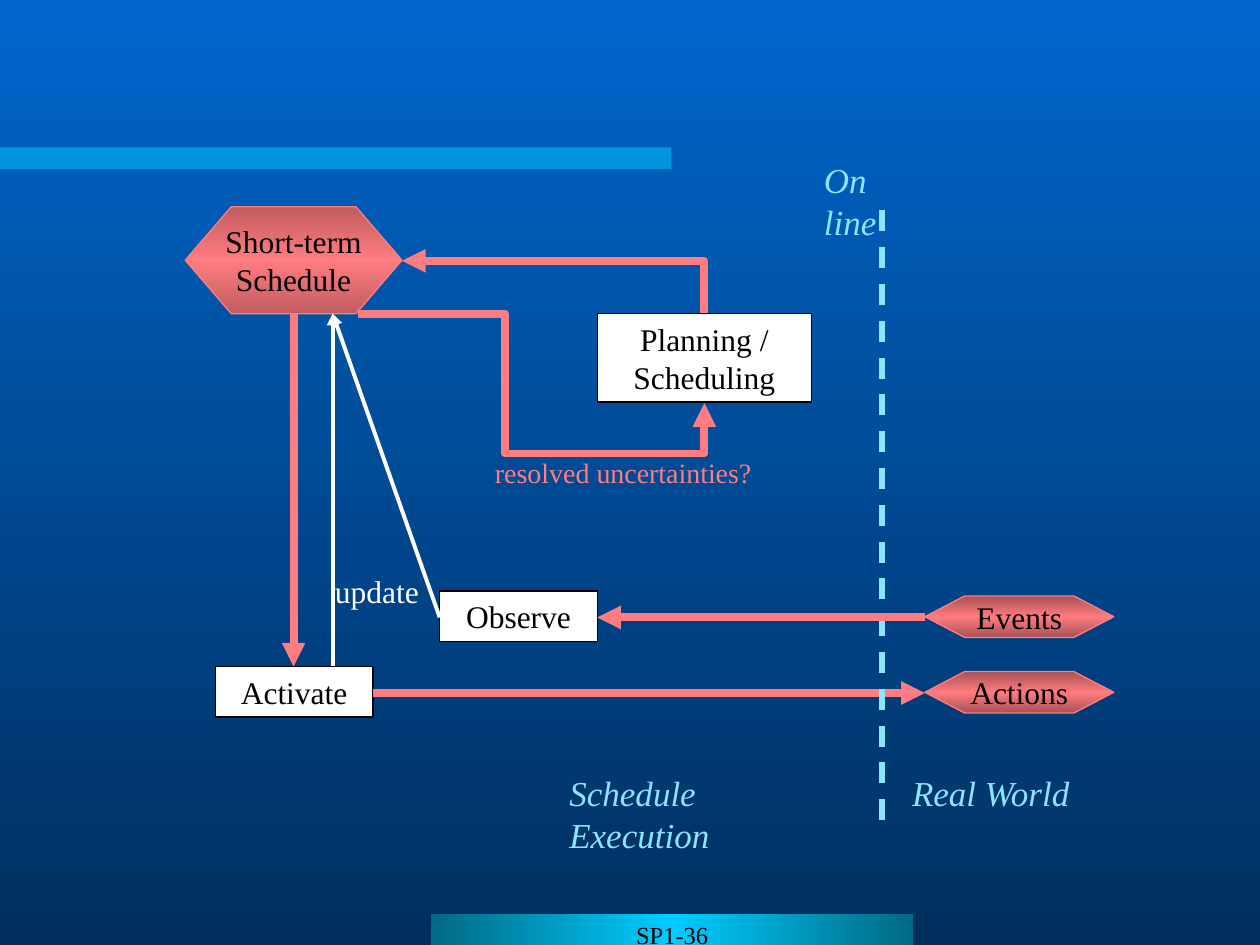
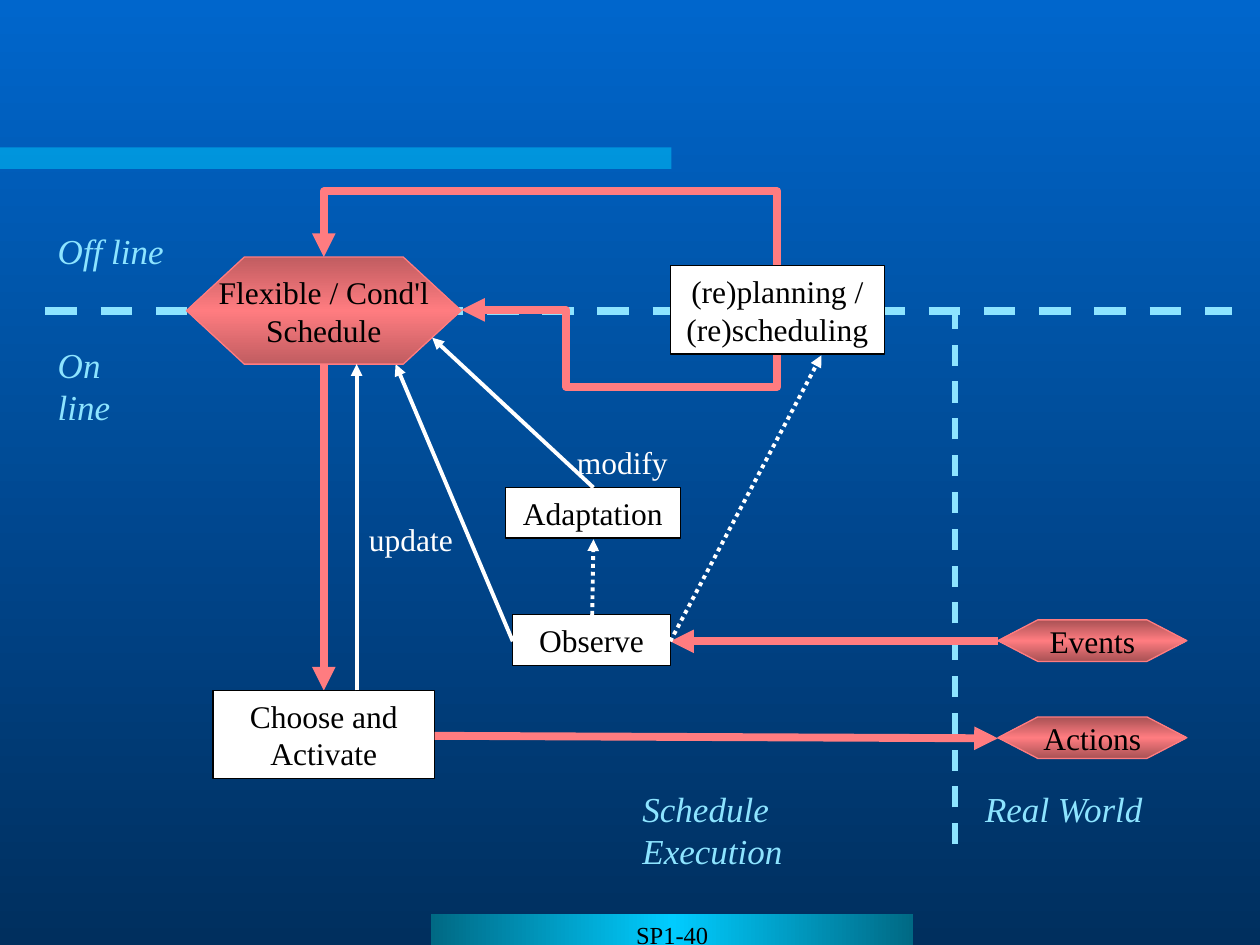
from copy import deepcopy
from dataclasses import dataclass

from lxml.etree import SubElement
from pptx import Presentation
from pptx.dml.color import RGBColor
from pptx.enum.dml import MSO_LINE
from pptx.enum.shapes import MSO_CONNECTOR as Link, MSO_SHAPE as Preset
from pptx.enum.text import MSO_ANCHOR as Anchor, PP_ALIGN as Align
from pptx.oxml.ns import qn
from pptx.util import Emu, Inches, Pt

CELL = Inches(1)  # the grid has 10 columns and 7.5 rows of square cells
COLUMNS, ROWS = 10, 7.5


@dataclass(frozen=True)
class Theme:
    font: str = "Times New Roman"
    sky: str = "0066CC"
    deep: str = "002F5E"
    band: str = "00CCFF"
    band_edge: str = "006984"
    flow: str = "FF7C80"
    state_edge: str = "C15D61"
    world_edge: str = "A85154"
    zone: str = "8DE4FF"
    white: str = "FFFFFF"
    black: str = "000000"
    zone_size: int = 20
    body_size: int = 18
    note_size: int = 16
    footer_size: int = 14
    thin: float = 0.75
    update_width: float = 2.25
    zone_width: float = 3
    flow_width: float = 4.5


THEME = Theme()


def cells(*counts):
    return [Emu(round(count * CELL)) for count in counts]


def rgb(code):
    return RGBColor.from_string(code)


def write(shape, text, size, color, align=Align.CENTER, anchor=Anchor.TOP,
          wrap=True, italic=False):
    frame = shape.text_frame
    frame.text = text
    frame.word_wrap = wrap
    frame.vertical_anchor = anchor
    for para in frame.paragraphs:
        para.alignment = align
        para.font.name = THEME.font
        para.font.size = Pt(size)
        para.font.italic = italic
        para.font.color.rgb = rgb(color)


def add_block(page, preset, area, outline=None):
    shape = page.shapes.add_shape(preset, *cells(*area))
    shape.shadow.inherit = False
    if outline:
        shape.line.color.rgb = rgb(outline)
        shape.line.width = Pt(THEME.thin)
    else:
        shape.line.fill.background()
    return shape


def fill_sheen(shape, edge, middle, angle):
    """Fill with a gradient that is the same colour at both ends."""
    shape.fill.gradient()
    shape.fill.gradient_angle = angle
    stops = shape._element.spPr.find(".//" + qn("a:gsLst"))
    centre = deepcopy(stops[0])
    centre.set("pos", "50000")
    stops.insert(1, centre)
    for stop, color in zip(shape.fill.gradient_stops, (edge, middle, edge)):
        stop.color.rgb = rgb(color)


def add_step(page, text, area):
    box = add_block(page, Preset.RECTANGLE, area, THEME.black)
    box.fill.solid()
    box.fill.fore_color.rgb = rgb(THEME.white)
    write(box, text, THEME.body_size, THEME.black)


def add_hexagon(page, text, area, point, edge):
    hexagon = add_block(page, Preset.HEXAGON, area, THEME.flow)
    hexagon.adjustments[0] = point
    fill_sheen(hexagon, edge, THEME.flow, 90)
    write(hexagon, text, THEME.body_size, THEME.black,
          anchor=Anchor.MIDDLE, wrap=False)


def add_label(page, text, area, size=THEME.body_size, color=THEME.white,
              italic=False, wrap=False):
    label = page.shapes.add_textbox(*cells(*area))
    write(label, text, size, color, Align.LEFT, wrap=wrap, italic=italic)


def add_zone(page, text, left, top, width):
    add_label(page, text, (left, top, width, 0.44), THEME.zone_size,
              THEME.zone, italic=True)


def style_line(connector, color, width, dash=None, arrow=True):
    connector.line.color.rgb = rgb(color)
    connector.line.width = Pt(width)
    if dash:
        connector.line.dash_style = dash
    properties = connector._element.spPr
    if arrow:
        tail = SubElement(properties.find(qn("a:ln")), qn("a:tailEnd"))
        tail.set("type", "triangle")
    SubElement(properties, qn("a:effectLst"))


def add_line(page, start, end, color, width, dash=None, arrow=True):
    connector = page.shapes.add_connector(Link.STRAIGHT, *cells(*start, *end))
    style_line(connector, color, width, dash, arrow)


def add_flow(page, start, end):
    add_line(page, start, end, THEME.flow, THEME.flow_width)


def add_update(page, start, end, dash=None):
    add_line(page, start, end, THEME.white, THEME.update_width, dash)


def add_border(page, start, end, width):
    add_line(page, start, end, THEME.zone, width, MSO_LINE.DASH, arrow=False)


def add_elbow(page, *points):
    """Draw a bent arrow through points: either rightwards and down first
    along the row, or up and leftwards first along the column."""
    start, end = points[0], points[-1]
    upright = start[0] == points[1][0]
    middle = [(a + b) / 2 for a, b in zip(start, end)]
    half = [abs(b - a) / 2 for a, b in zip(start, end)]
    if upright:
        half.reverse()
    connector = page.shapes.add_connector(Link.ELBOW, *cells(
        middle[0] - half[0], middle[1] - half[1],
        middle[0] + half[0], middle[1] + half[1]))
    properties = connector._element.spPr
    if upright:
        properties.xfrm.set("rot", str(270 * 60000))
        properties.xfrm.set("flipV", "1")
    geometry = properties.find(qn("a:prstGeom"))
    geometry.set("prst", f"bentConnector{len(points) - 1}")
    guides = geometry.find(qn("a:avLst"))
    for index, bend in enumerate(points[1:-2]):
        axis = (upright + index) % 2
        share = (bend[axis] - start[axis]) / (end[axis] - start[axis])
        guide = SubElement(guides, qn("a:gd"))
        guide.set("name", f"adj{index + 1}" if len(points) > 3 else "adj")
        guide.set("fmla", f"val {round(share * 100000)}")
    style_line(connector, THEME.flow, THEME.flow_width)


def add_page(deck, number):
    page = deck.slides.add_slide(deck.slide_layouts[6])
    band = add_block(page, Preset.RECTANGLE, (0, 1.17, 5.33, 0.17))
    band.fill.solid()
    band.fill.fore_color.rgb = rgb(THEME.band)
    tint = band._element.spPr.find(".//" + qn("a:srgbClr"))
    SubElement(tint, qn("a:alpha")).set("val", "50000")
    footer = add_block(page, Preset.RECTANGLE, (3.42, 7.25, 3.83, 0.25))
    fill_sheen(footer, THEME.band_edge, THEME.band, 0)
    write(footer, number, THEME.footer_size, THEME.black)
    return page


def add_execution(page, border, span, label_row, events_row, actions_row,
                  activate_exit):
    """Draw both sides of the border between schedule and real world."""
    world = border + 0.34
    observe = border - 3.51
    add_flow(page, activate_exit, (world, actions_row))
    add_zone(page, "Real World", border + 0.14, label_row, 1.47)
    add_zone(page, "Schedule Execution", border - 2.58, label_row, 2.38)
    add_border(page, (border, span[1]), (border, span[0]), THEME.zone_width)
    add_step(page, "Observe", (observe, events_row - 0.21, 1.25, 0.4))
    add_flow(page, (world, events_row), (observe + 1.25, events_row))
    for text, row in (("Events", events_row), ("Actions", actions_row)):
        add_hexagon(page, text, (world, row - 0.17, 1.5, 0.33), 0.96,
                    THEME.world_edge)


def build_short_term(deck):
    page = add_page(deck, "SP1-36")
    add_zone(page, "On line", 6.44, 1.21, 1.02)
    add_hexagon(page, "Short-term\nSchedule", (1.47, 1.64, 1.72, 0.85), 0.43,
                THEME.state_edge)
    add_elbow(page, (5.59, 2.49), (5.59, 2.07), (3.19, 2.07))
    add_step(page, "Planning / Scheduling", (4.74, 2.49, 1.7, 0.7))
    add_update(page, (2.64, 5.29), (2.64, 2.49))
    add_label(page, "update", (2.56, 4.49, 0.87, 0.4))
    add_step(page, "Activate", (1.71, 5.29, 1.25, 0.4))
    add_execution(page, 7, (1.64, 6.51), 6.07, 4.9, 5.5, (2.96, 5.5))
    add_update(page, (3.49, 4.9), (2.64, 2.49))
    add_flow(page, (2.33, 2.49), (2.33, 5.29))
    add_elbow(page, (2.84, 2.49), (4.01, 2.49), (4.01, 3.6), (5.59, 3.6),
              (5.59, 3.2))
    add_label(page, "resolved uncertainties?", (3.83, 3.57, 2.31, 0.37),
              THEME.note_size, THEME.flow, wrap=True)


def build_flexible(deck):
    page = add_page(deck, "SP1-40")
    add_flow(page, (2.57, 2.89), (2.57, 5.48))
    add_label(page, "update", (2.83, 4.08, 0.87, 0.4))
    add_step(page, "Choose and Activate", (1.69, 5.48, 1.76, 0.7))
    add_execution(page, 7.58, (2.35, 6.7), 6.2, 5.09, 5.86, (3.45, 5.84))
    add_update(page, (4.07, 5.09), (3.14, 2.89))
    add_border(page, (0.36, 2.47), (9.78, 2.47), THEME.flow_width)
    add_zone(page, "Off line", 0.36, 1.77, 1.04)
    add_zone(page, "On line", 0.36, 2.68, 1.02)
    add_hexagon(page, "Flexible / Cond'l\nSchedule", (1.48, 2.04, 2.18, 0.85),
                0.54, THEME.state_edge)
    add_elbow(page, (6.17, 2.11), (6.17, 1.52), (2.57, 1.52), (2.57, 2.04))
    add_step(page, "Adaptation", (4.01, 3.87, 1.39, 0.4))
    add_update(page, (4.7, 4.88), (4.71, 4.28), MSO_LINE.ROUND_DOT)
    add_update(page, (4.71, 3.87), (3.43, 2.68))
    add_label(page, "modify", (4.48, 3.47, 0.92, 0.4))
    add_update(page, (5.32, 5.09), (6.52, 2.82), MSO_LINE.ROUND_DOT)
    add_elbow(page, (6.17, 2.82), (6.17, 3.07), (4.49, 3.07), (4.49, 2.46),
              (3.66, 2.46))
    add_step(page, "(re)planning / (re)scheduling", (5.32, 2.11, 1.7, 0.7))
    add_update(page, (2.83, 5.48), (2.83, 2.89))


def main():
    deck = Presentation()
    deck.slide_width, deck.slide_height = cells(COLUMNS, ROWS)
    backdrop = deck.slide_master.background.fill
    backdrop.gradient()
    backdrop.gradient_angle = 270
    for stop, color in zip(backdrop.gradient_stops, (THEME.sky, THEME.deep)):
        stop.color.rgb = rgb(color)
    build_short_term(deck)
    build_flexible(deck)
    deck.save("out.pptx")


if __name__ == "__main__":
    main()
